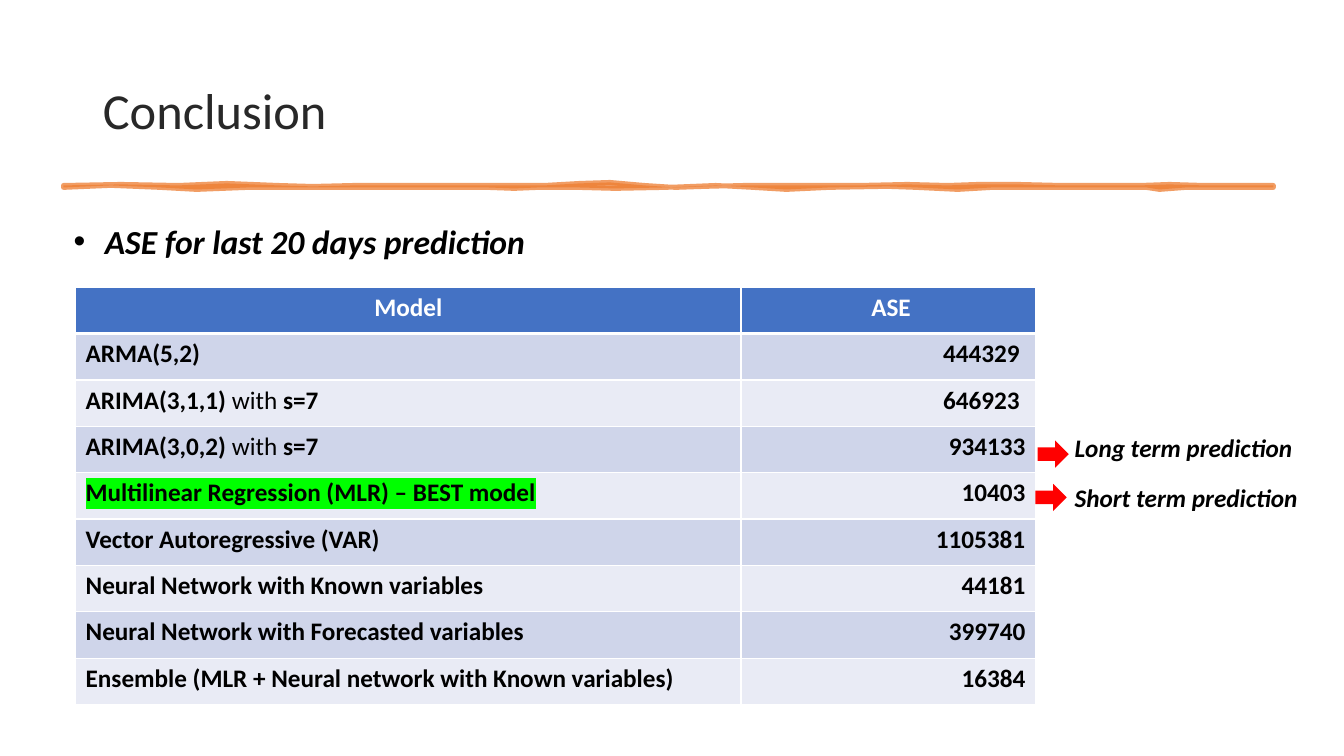
import pptx
import pptx.dml.color
import pptx.enum.shapes
import pptx.enum.text
import pptx.oxml.ns
import pptx.util
from lxml import etree

Inches = pptx.util.Inches
Pt = pptx.util.Pt
qn = pptx.oxml.ns.qn
ALIGN = pptx.enum.text.PP_ALIGN
ANCHOR = pptx.enum.text.MSO_ANCHOR

COLORS = {
    "title": "282828",
    "text": "000000",
    "white": "FFFFFF",
    "header": "4472C4",
    "odd row": "CFD5EA",
    "even row": "E9EBF5",
    "best": "00FF00",
    "arrow": "FF0000",
    "brush": "ED7D31",
}

# Each model name is a list of (text, look) runs.
RESULTS = [
    ([("ARMA(5,2)", "bold")], "444329 "),
    ([("ARIMA(3,1,1) ", "bold"), ("with ", "plain"), ("s=7", "bold")], "646923 "),
    ([("ARIMA(3,0,2) ", "bold"), ("with ", "plain"), ("s=7", "bold")], "934133"),
    ([("Multilinear Regression (MLR) – BEST model", "best")], "10403"),
    ([("Vector Autoregressive (VAR)", "bold")], "1105381"),
    ([("Neural Network with Known variables", "bold")], "44181"),
    ([("Neural Network with Forecasted variables", "bold")], "399740"),
    ([("Ensemble (MLR + Neural network with Known variables)", "bold")], "16384"),
]

BRUSH_TOP = [
    (0.63, 1.84), (1.2, 1.83), (1.77, 1.84), (2.25, 1.82), (2.76, 1.84),
    (3.1, 1.85), (3.51, 1.84), (5.4, 1.84), (5.75, 1.82), (6.05, 1.81),
    (6.39, 1.84), (6.7, 1.86), (7.0, 1.85), (7.38, 1.84), (8.52, 1.84),
    (9.0, 1.83), (9.4, 1.84), (9.7, 1.83), (10.1, 1.83), (10.53, 1.84),
    (11.31, 1.84), (11.6, 1.83), (11.94, 1.84), (12.63, 1.84),
]
BRUSH_BOTTOM = [
    (12.63, 1.86), (11.76, 1.86), (11.5, 1.88), (11.37, 1.86), (9.84, 1.86),
    (9.5, 1.88), (9.09, 1.86), (8.8, 1.85), (8.22, 1.86), (7.8, 1.88),
    (7.47, 1.86), (7.1, 1.84), (6.6, 1.86), (6.1, 1.87), (5.73, 1.86),
    (5.34, 1.86), (5.1, 1.87), (4.83, 1.86), (2.46, 1.86), (1.95, 1.88),
    (1.59, 1.86), (1.1, 1.84), (0.63, 1.86),
]


def rgb(name):
    return pptx.dml.color.RGBColor.from_string(COLORS[name])


class SlideBuilder:
    """Holds the text style and the slide being filled."""

    font_name = "Calibri"

    def __init__(self, slide):
        self.slide = slide

    def format(self, paragraph, size, color="text", bold=False, italic=False):
        font = paragraph.font
        font.name = self.font_name
        font.size = Pt(size)
        font.bold = bold
        font.italic = italic
        font.color.rgb = rgb(color)

    def place(self, shape, left, top, width, height):
        shape.left, shape.top = Inches(left), Inches(top)
        shape.width, shape.height = Inches(width), Inches(height)

    def title(self, text, *box):
        shape = self.slide.shapes.title
        self.place(shape, *box)
        shape.text_frame.text = text
        shape.text_frame.vertical_anchor = ANCHOR.MIDDLE
        paragraph = shape.text_frame.paragraphs[0]
        paragraph.alignment = ALIGN.LEFT
        paragraph.line_spacing = 0.9
        self.format(paragraph, 36, "title")

    def bullet(self, text, *box):
        shape = self.slide.placeholders[1]
        self.place(shape, *box)
        shape.text_frame.text = text
        paragraph = shape.text_frame.paragraphs[0]
        paragraph.space_before = Pt(0)
        properties = paragraph._p.get_or_add_pPr()
        properties.set("marL", str(Inches(0.31)))
        properties.set("indent", str(-Inches(0.31)))
        etree.SubElement(properties, qn("a:buFont"), typeface="Arial")
        etree.SubElement(properties, qn("a:buChar"), char="•")
        self.format(paragraph, 24, bold=True, italic=True)

    def brush_stroke(self, points):
        """Draw a translucent, uneven band through points in inches."""
        start, *rest = [(Inches(x), Inches(y)) for x, y in points]
        builder = self.slide.shapes.build_freeform(*start)
        builder.add_line_segments(rest, close=True)
        shape = builder.convert_to_shape()
        shape.shadow.inherit = False
        shape.line.width = Pt(3.5)
        for fill in (shape.fill, shape.line.fill):
            fill.solid()
            fill.fore_color.rgb = rgb("brush")
        for color in shape._element.spPr.iter(qn("a:srgbClr")):
            etree.SubElement(color, qn("a:alpha"), val="75000")

    def cell(self, cell, runs, alignment, fill, color="text", bottom=1):
        """Fill one table cell; bottom is the width of its lower border."""
        paragraph = cell.text_frame.paragraphs[0]
        paragraph.alignment = alignment
        self.format(paragraph, 18, color, bold=True)
        for text, look in runs:
            run = paragraph.add_run()
            run.text = text
            if look == "plain":
                run.font.bold = False
            elif look == "best":
                highlight = etree.SubElement(run._r.get_or_add_rPr(), qn("a:highlight"))
                etree.SubElement(highlight, qn("a:srgbClr"), val=COLORS["best"])
        properties = cell._tc.get_or_add_tcPr()
        for side, width in (("L", 1), ("R", 1), ("T", 1), ("B", bottom)):
            line = etree.SubElement(properties, qn(f"a:ln{side}"), w=str(Pt(width)))
            solid = etree.SubElement(line, qn("a:solidFill"))
            etree.SubElement(solid, qn("a:srgbClr"), val=COLORS["white"])
        cell.fill.solid()
        cell.fill.fore_color.rgb = rgb(fill)

    def results_table(self, headings, results, left, top, widths, row_height):
        rows = len(results) + 1
        table = self.slide.shapes.add_table(
            rows, len(widths), Inches(left), Inches(top),
            Inches(sum(widths)), Inches(row_height * rows)).table
        for column, width in zip(table.columns, widths):
            column.width = Inches(width)
        for row in table.rows:
            row.height = Inches(row_height)
        for column, heading in enumerate(headings):
            self.cell(table.cell(0, column), [(heading, "bold")], ALIGN.CENTER,
                      "header", "white", bottom=3)
        for row, (model, error) in enumerate(results, start=1):
            fill = "odd row" if row % 2 else "even row"
            self.cell(table.cell(row, 0), model, ALIGN.LEFT, fill)
            self.cell(table.cell(row, 1), [(error, "bold")], ALIGN.RIGHT, fill)

    def arrow(self, left, top):
        shape = self.slide.shapes.add_shape(
            pptx.enum.shapes.MSO_SHAPE.RIGHT_ARROW,
            Inches(left), Inches(top), Inches(0.31), Inches(0.27))
        shape.shadow.inherit = False
        shape.fill.solid()
        shape.fill.fore_color.rgb = rgb("arrow")
        shape.line.fill.background()

    def label(self, text, left, top):
        shape = self.slide.shapes.add_textbox(
            Inches(left), Inches(top), Inches(2.7), Inches(0.4))
        shape.text_frame.word_wrap = True
        shape.text_frame.text = text
        self.format(shape.text_frame.paragraphs[0], 18, bold=True, italic=True)


def main():
    presentation = pptx.Presentation()
    presentation.slide_width = Inches(13.33)
    presentation.slide_height = Inches(7.5)
    slide = presentation.slides.add_slide(presentation.slide_layouts[1])
    builder = SlideBuilder(slide)
    builder.brush_stroke(BRUSH_TOP + BRUSH_BOTTOM)
    builder.title("Conclusion", 0.92, 0.4, 11.5, 1.45)
    builder.bullet("ASE for last 20 days prediction", 0.63, 2.14, 11.5, 0.5)
    builder.results_table(["Model", " ASE"], RESULTS, 0.75, 2.85, [6.6, 2.92], 0.46)
    builder.arrow(10.29, 4.37)
    builder.label("Long term prediction", 10.56, 4.24)
    builder.arrow(10.27, 4.8)
    builder.label("Short term prediction", 10.56, 4.74)
    presentation.save("out.pptx")


if __name__ == "__main__":
    main()
